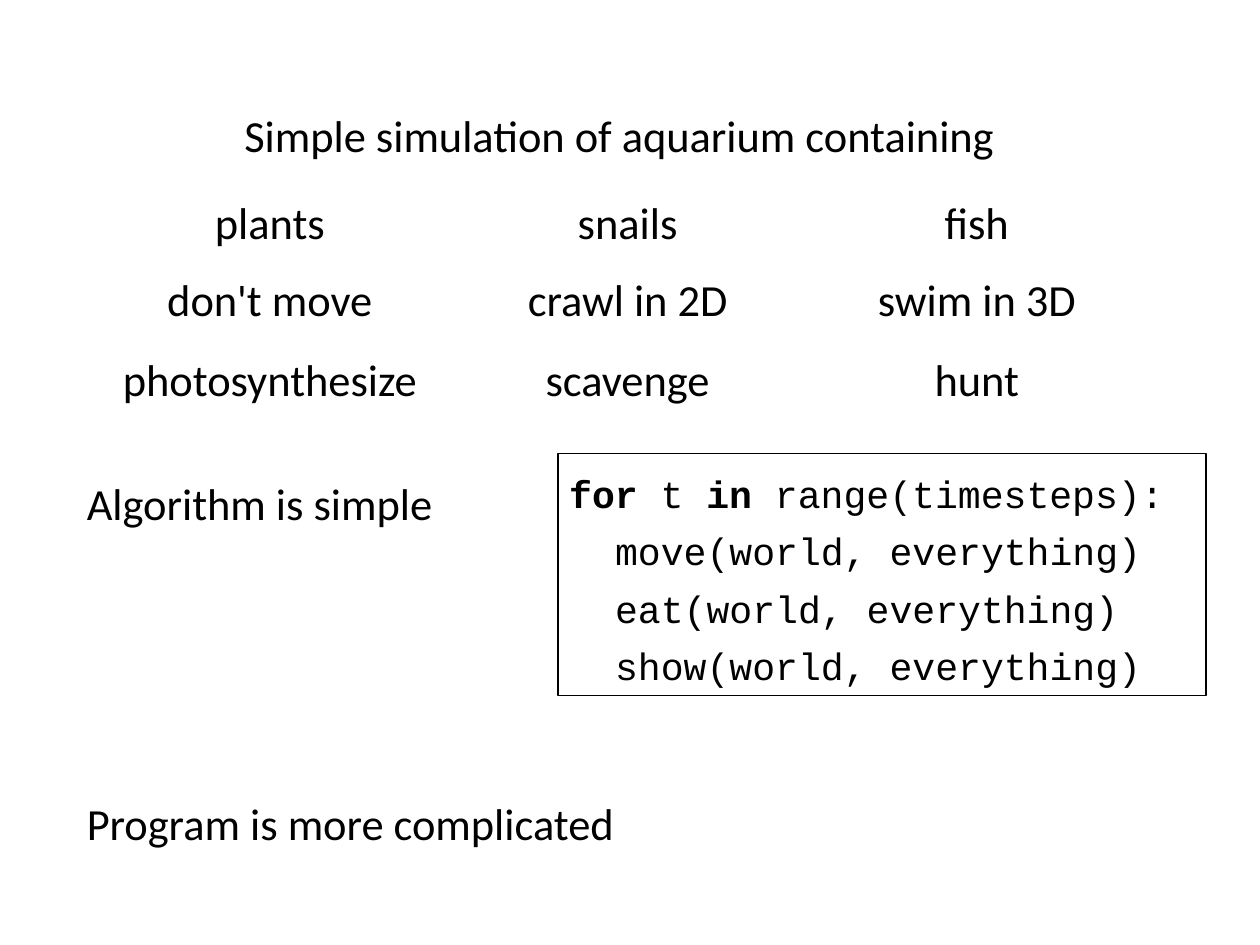
from dataclasses import dataclass

from pptx import Presentation
from pptx.dml.color import RGBColor
from pptx.enum.shapes import MSO_SHAPE
from pptx.enum.text import MSO_ANCHOR, PP_ALIGN
from pptx.util import Cm, Pt

RECTANGLE = MSO_SHAPE.RECTANGLE
TOP = MSO_ANCHOR.TOP
LEFT = PP_ALIGN.LEFT
CENTER = PP_ALIGN.CENTER

TABLE_TITLE = "Simple simulation of aquarium containing"
CREATURES = [
    ("plants", "snails", "fish"),
    ("don't move", "crawl in 2D", "swim in 3D"),
    ("photosynthesize", "scavenge", "hunt"),
]
REMARKS = ["Algorithm is simple", "Program is more complicated"]
CODE = [
    (0, [("for", True), (" t ", False), ("in", True), (" range(timesteps):", False)]),
    (1, [("move(world, everything)", False)]),
    (1, [("eat(world, everything)", False)]),
    (1, [("show(world, everything)", False)]),
]

SLIDE_SIZE = (28, 21)
TABLE_ORIGIN = (1.83, 2.36)
COLUMN_WIDTHS = (8.33, 7.57, 7.95)
ROW_HEIGHTS = (1.93, 1.71, 1.79, 1.93)
REMARK_BOX = (1.68, 9.86, 16.97, 2.1)
REMARK_STEP = 7.11
CODE_BOX = (12.4, 10.08, 14.4, 5.38)
CODE_INDENT = 1.02


@dataclass(frozen=True)
class Theme:
    ink: RGBColor = RGBColor(0, 0, 0)
    body_font: str = "Calibri"
    code_font: str = "Courier New"
    body_size: int = 28
    code_size: int = 24
    border: int = 1


THEME = Theme()


def write(paragraph, runs, *, font=THEME.body_font, size=THEME.body_size,
          align=LEFT, line_spacing=1.0, space_after=0, indent=0):
    paragraph.alignment = align
    paragraph.line_spacing = line_spacing
    paragraph.space_after = Pt(space_after)
    if indent:
        paragraph._p.get_or_add_pPr().set("marL", str(Cm(indent)))
    for text, bold in runs:
        run = paragraph.add_run()
        run.text = text
        run.font.name = font
        run.font.size = Pt(size)
        run.font.bold = bold
        run.font.color.rgb = THEME.ink


def add_creature_table(slide):
    rows = [(TABLE_TITLE, "", "")] + CREATURES
    lengths = (*TABLE_ORIGIN, sum(COLUMN_WIDTHS), sum(ROW_HEIGHTS))
    table = slide.shapes.add_table(
        len(rows), len(COLUMN_WIDTHS), *map(Cm, lengths)).table
    table.first_row = False
    table.horz_banding = False
    for column, width in zip(table.columns, COLUMN_WIDTHS):
        column.width = Cm(width)
    for row, height in zip(table.rows, ROW_HEIGHTS):
        row.height = Cm(height)
    table.cell(0, 0).merge(table.cell(0, len(COLUMN_WIDTHS) - 1))
    for row_index, row in enumerate(rows):
        for column_index, text in enumerate(row):
            cell = table.cell(row_index, column_index)
            cell.fill.background()
            if text:
                write(cell.text_frame.paragraphs[0], [(text, False)],
                      align=CENTER, line_spacing=0.93, space_after=14.2)


def add_remarks(slide):
    left, top, width, height = REMARK_BOX
    for index, text in enumerate(REMARKS):
        lengths = (left, top + index * REMARK_STEP, width, height)
        frame = slide.shapes.add_textbox(*map(Cm, lengths)).text_frame
        frame.word_wrap = True
        write(frame.paragraphs[0], [(text, False)], line_spacing=1.5)


def add_code(slide):
    shape = slide.shapes.add_shape(RECTANGLE, *map(Cm, CODE_BOX))
    shape.shadow.inherit = False
    shape.fill.background()
    shape.line.color.rgb = THEME.ink
    shape.line.width = Pt(THEME.border)
    frame = shape.text_frame
    frame.word_wrap = True
    frame.vertical_anchor = TOP
    for index, (level, runs) in enumerate(CODE):
        paragraph = frame.add_paragraph() if index else frame.paragraphs[0]
        write(paragraph, runs, font=THEME.code_font, size=THEME.code_size,
              line_spacing=1.25, indent=level * CODE_INDENT)


def main():
    presentation = Presentation()
    presentation.slide_width, presentation.slide_height = map(Cm, SLIDE_SIZE)
    slide = presentation.slides.add_slide(presentation.slide_layouts[6])
    add_creature_table(slide)
    add_remarks(slide)
    add_code(slide)
    presentation.save("out.pptx")


if __name__ == "__main__":
    main()
